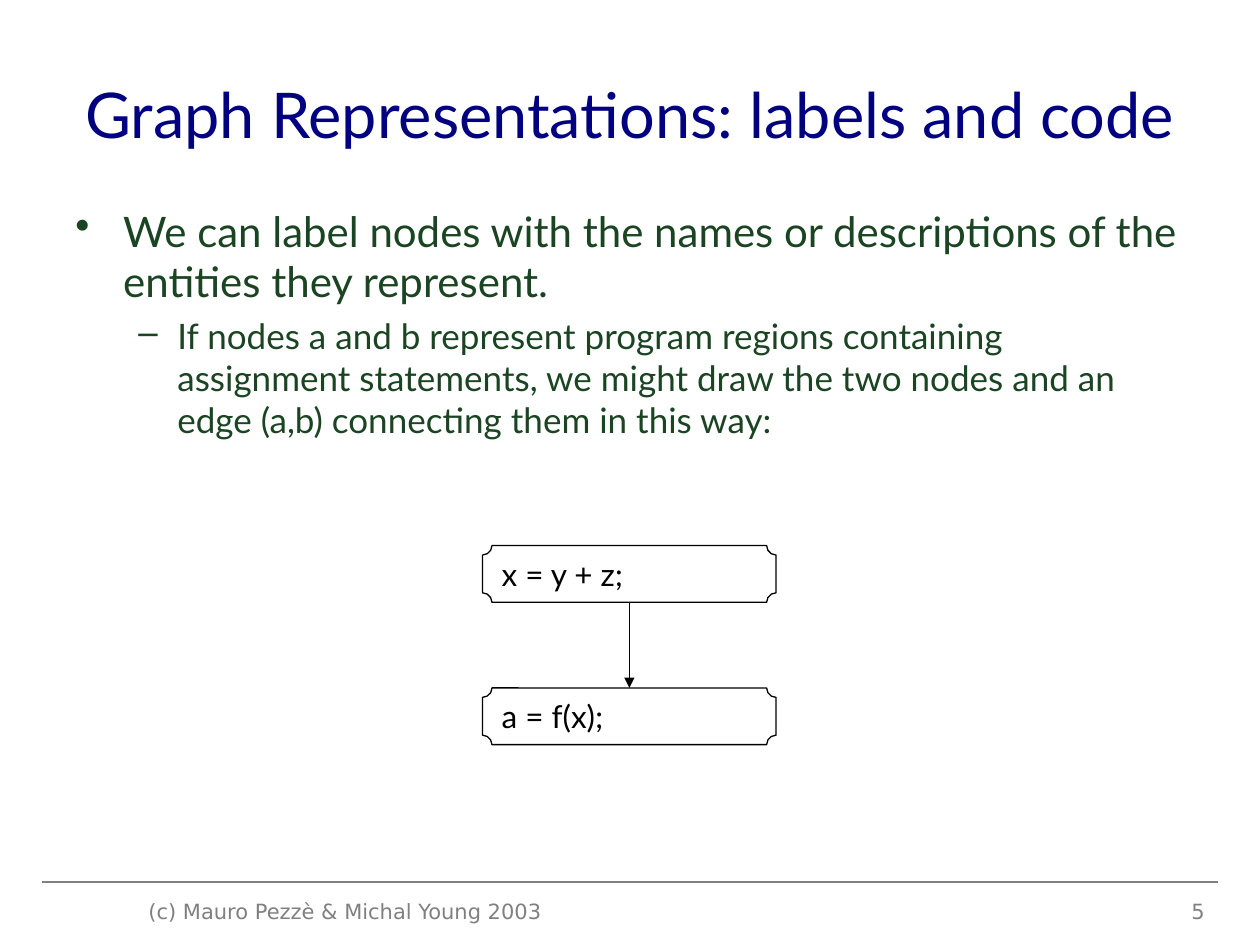
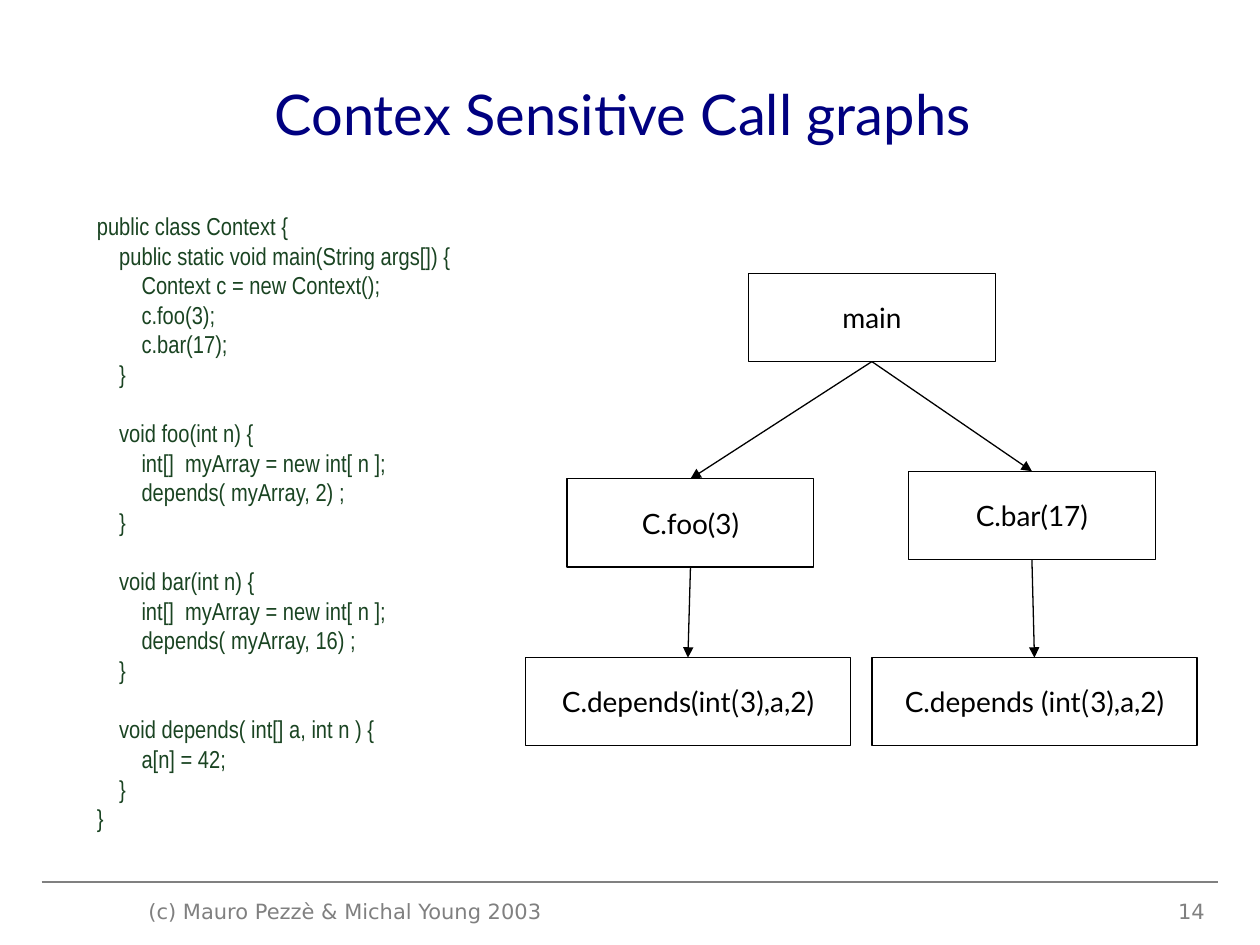
import pptx
import pptx.dml.color
import pptx.enum.shapes
import pptx.enum.text
import pptx.oxml.ns
import pptx.util
from lxml import etree

Inches = pptx.util.Inches
Pt = pptx.util.Pt
rgb = pptx.dml.color.RGBColor.from_string
qn = pptx.oxml.ns.qn
ALIGN = pptx.enum.text.PP_ALIGN
ANCHOR = pptx.enum.text.MSO_ANCHOR
SHAPE = pptx.enum.shapes.MSO_SHAPE

# Shared look
NAVY, GREEN, GREY, BLACK = "000080", "1A4422", "808080", "000000"
LATO, CJK = "Lato", "Noto Sans CJK JP"
COPYRIGHT = "(c) Mauro Pezzè & Michal Young 2003"


def write(paragraph, pieces, size, colour, fonts=(LATO,), **layout):
    """Add one run per piece, each in its own font, and set the paragraph layout."""
    for attribute, value in layout.items():
        setattr(paragraph, attribute, value)
    for piece, font_name in zip(pieces, fonts):
        run = paragraph.add_run()
        run.text = piece
        run.font.color.rgb = rgb(colour)
        for attribute, value in {"size": Pt(size), "name": font_name}.items():
            setattr(run.font, attribute, value)


def add_line(slide, colour, ends=(0, 0, 0, 0), boxes=None):
    """Draw a plain line between two points, or an arrow from one box down to another."""
    line = slide.shapes.add_connector(
        pptx.enum.shapes.MSO_CONNECTOR.STRAIGHT, *map(Inches, ends))
    line.line.color.rgb = rgb(colour)
    line.line.width = Pt(0.75)
    if boxes:
        upper, lower = boxes
        line.begin_connect(upper, 2)
        line.end_connect(lower, 0)
        etree.SubElement(line.line._get_or_add_ln(), qn("a:tailEnd"), type="triangle")
    etree.SubElement(line._element.spPr, qn("a:effectLst"))


deck = pptx.Presentation()
deck.slide_width, deck.slide_height = Inches(10), Inches(7.5)
blank = deck.slide_layouts[6]
labels_slide = deck.slides.add_slide(blank)
calls_slide = deck.slides.add_slide(blank)

# Titles, footer rule, copyright and slide numbers
for slide, title, title_size, number in (
    (labels_slide, "Graph Representations: labels and code", 36, "5"),
    (calls_slide, "Contex Sensitive Call graphs ", 32, "14"),
):
    add_line(slide, GREY, ends=(0.33, 7, 9.67, 7))
    for text, place, size, colour, font, align, anchor in (
        (title, (0.5, 0.3, 9, 1.2), title_size, NAVY, LATO, ALIGN.CENTER, ANCHOR.MIDDLE),
        (COPYRIGHT, (1.08, 7.08, 3.5, 0.27), 12, GREY, "DejaVu Sans", ALIGN.LEFT, ANCHOR.TOP),
        (number, (7.33, 7.08, 2.33, 0.27), 12, GREY, "DejaVu Sans", ALIGN.RIGHT, ANCHOR.TOP),
    ):
        frame = slide.shapes.add_textbox(*map(Inches, place)).text_frame
        frame.word_wrap = True
        frame.vertical_anchor = anchor
        write(frame.paragraphs[0], [text], size, colour, [font], alignment=align)

# Explanation of node labels
explanation = labels_slide.shapes.add_textbox(*map(Inches, (0.5, 1.58, 9, 2.08))).text_frame
explanation.word_wrap = True
for level, (bullet, left, hang, size, before, text) in enumerate((
    ("•", 0.38, 0.38, 24, 0,
     "We can label nodes with the names or descriptions of the entities they represent."),
    ("–", 0.81, 0.31, 20, 5,
     "If nodes a and b represent program regions containing assignment statements, "
     "we might draw the two nodes and an edge (a,b) connecting them in this way:"),
)):
    point = explanation.add_paragraph() if level else explanation.paragraphs[0]
    properties = point._p.get_or_add_pPr()
    properties.set("marL", str(Inches(left)))
    properties.set("indent", str(-Inches(hang)))
    bullet_colour = etree.SubElement(properties, qn("a:buClr"))
    etree.SubElement(bullet_colour, qn("a:srgbClr"), val=GREEN)
    etree.SubElement(properties, qn("a:buChar"), char=bullet)
    write(point, [text], size, GREEN, level=level, space_before=Pt(before))

# Program listing: an empty line becomes extra space before the next one
PROGRAM = """\
public class Context {
    public static void main(String args[]) {
        Context c = new Context();
        c.foo(3);
        c.bar(17);
    }

    void foo(int n) {
        int[]  myArray = new int[ n ];
        depends( myArray, 2) ;
    }

    void bar(int n) {
        int[]  myArray = new int[ n ];
        depends( myArray, 16) ;
    }

    void depends( int[] a, int n ) {
        a[n] = 42;
    }
}"""
listing = calls_slide.shapes.add_textbox(*map(Inches, (0.67, 1.67, 3.25, 5.12))).text_frame
listing.word_wrap = True
statement, before = listing.paragraphs[0], 0
for code in PROGRAM.splitlines():
    if not code:
        before = 20.4
        continue
    statement = listing.add_paragraph() if before else statement
    write(statement, [code], 14, GREEN, ["Arial Narrow"],
          line_spacing=0.8, space_before=Pt(before))
    before = 3.5

# Graph nodes of both slides
nodes = {}
for slide, outline, size, align, width, height, members in (
    (labels_slide, SHAPE.PLAQUE, 18, ALIGN.LEFT, 2.33, 0.45, (
        ("a", 3.83, 4.33, ["x = y + z;"]),
        ("b", 3.83, 5.46, ["a = f(x);"]))),
    (calls_slide, SHAPE.RECTANGLE, 16, ALIGN.CENTER, 1.96, 0.7, (
        ("main", 5.94, 2.17, ["main"]),
        ("foo", 4.5, 3.8, ["C.foo(3)"]),
        ("bar", 7.21, 3.74, ["C.bar(17)"]))),
    (calls_slide, SHAPE.RECTANGLE, 16, ALIGN.CENTER, 2.58, 0.7, (
        ("foo depends", 4.17, 5.22, ["C.depends(int", "(", "3),a,2)"]),
        ("bar depends", 6.92, 5.22, ["C.depends (int", "(", "3),a,2)"]))),
):
    for key, left, top, label in members:
        node = slide.shapes.add_shape(outline, *map(Inches, (left, top, width, height)))
        node.shadow.inherit = False
        node.fill.background()
        node.line.color.rgb = rgb(BLACK)
        node.line.width = Pt(0.75)
        node.text_frame.vertical_anchor = ANCHOR.MIDDLE
        write(node.text_frame.paragraphs[0], label, size, BLACK, (LATO, CJK, LATO),
              alignment=align)
        nodes[key] = node

# Edges between the nodes
for slide, upper, lower in (
    (labels_slide, "a", "b"),
    (calls_slide, "main", "foo"),
    (calls_slide, "main", "bar"),
    (calls_slide, "foo", "foo depends"),
    (calls_slide, "bar", "bar depends"),
):
    add_line(slide, BLACK, boxes=(nodes[upper], nodes[lower]))

deck.save("out.pptx")
